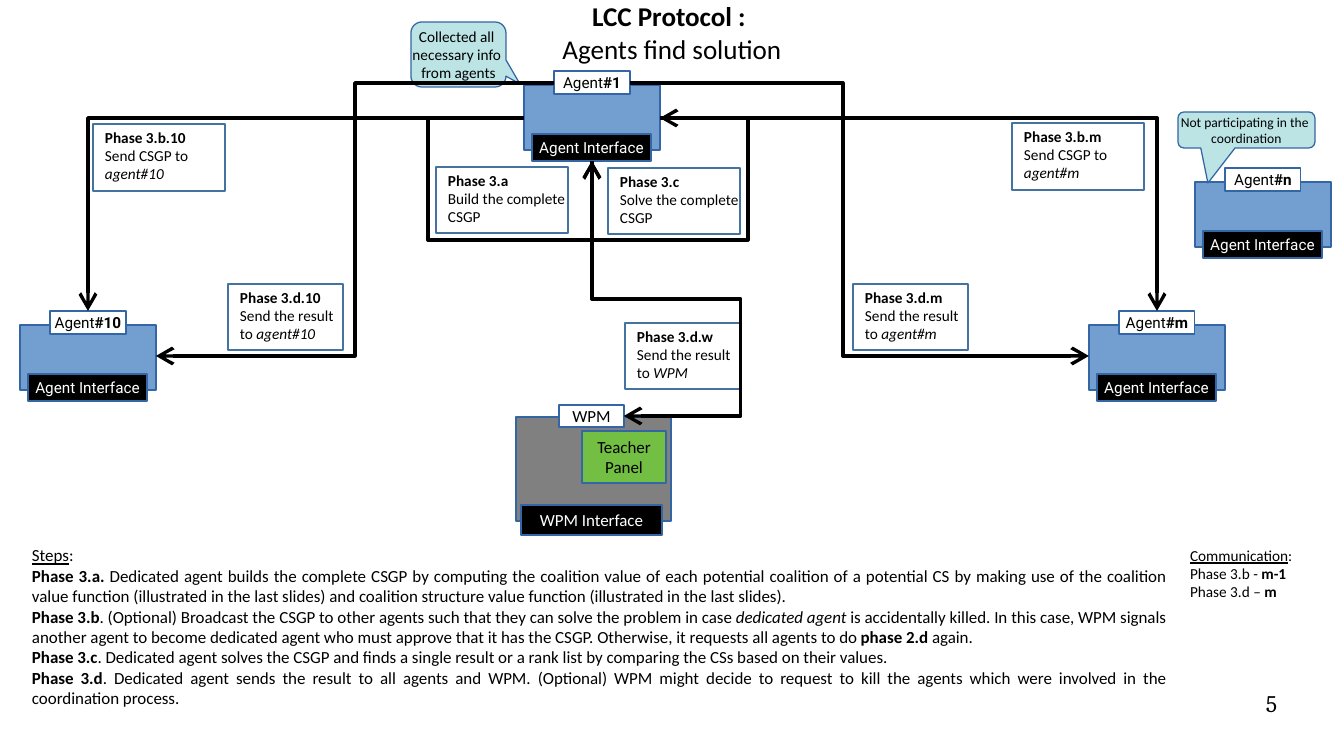
import pptx
import pptx.util
import pptx.dml.color
from lxml import etree
from pptx.enum.shapes import MSO_CONNECTOR, MSO_SHAPE
from pptx.enum.text import MSO_ANCHOR, PP_ALIGN
from pptx.oxml.ns import qn

PX = 914400 / 122
BLACK, WHITE, EDGE = "000000", "FFFFFF", "3465A4"
AGENT_BLUE, CALLOUT, GRAY, GREEN, PHASE_EDGE = "729FCF", "BCE4E5", "808080", "72BF44", "43739E"

# Content: a paragraph is a list of (text, style); styles are b, i, u
TITLE = [("LCC Protocol : \n", "b"), ("Agents find solution", "")]
AGENTS = [("#1", 524, 85), ("#10", 20, 325), ("#m", 1089, 325), ("#n", 1195, 182)]
CALLOUTS = [  # text, size, box, tip
    ("Collected all \nnecessary info \nfrom agents", 9, (411, 22, 95, 65), (520, 84)),
    ("Not participating in the \ncoordination", 8, (1178, 112, 137, 36), (1208, 183)),
]
PHASES = [  # name, action, receiver, box
    ("Phase 3.b.10", "Send CSGP to \n", "agent#10", (93, 124, 132, 67)),
    ("Phase 3.b.m", "Send CSGP to \n", "agent#m", (1012, 123, 132, 67)),
    ("Phase 3.a", "Build the complete \nCSGP", "", (436, 167, 132, 66)),
    ("Phase 3.c", "Solve the complete \nCSGP", "", (608, 168, 132, 66)),
    ("Phase 3.d.10", "Send the result \nto ", "agent#10", (228, 284, 115, 66)),
    ("Phase 3.d.m", "Send the result \nto ", "agent#m", (853, 284, 115, 66)),
    ("Phase 3.d.w", "Send the result \nto ", "WPM", (625, 323, 115, 66)),
]
WPM = [  # text, box, fill, font colour
    ("", (516, 417, 155, 104), GRAY, BLACK),
    ("WPM", (559, 405, 65, 22), WHITE, BLACK),
    ("Teacher\nPanel", (582, 431, 84, 52), GREEN, BLACK),
    ("WPM Interface", (521, 505, 141, 30), BLACK, WHITE),
]
ROUTES = [  # start, end, bends (x, then y), arrow at start, arrow at end
    ((524, 118), (88, 311), (), False, True),
    ((660, 118), (1157, 311), (), False, True),
    ((630, 83), (1089, 356), (843,), False, True),
    ((554, 83), (156, 356), (355,), False, True),
    ((660, 118), (592, 161), (748, 240), True, False),
    ((524, 118), (592, 161), (428, 240), False, True),
    ((624, 416), (592, 161), (741, 299), True, True),
]
STEPS = [
    [("Steps", "u"), (":", "")],
    [("Phase 3.a.", "b"), (" Dedicated agent builds the complete CSGP by computing the coalition value of each "
     "potential coalition of a potential CS by making use of the coalition value function (illustrated in the "
     "last slides) and coalition structure value function (illustrated in the last slides).", "")],
    [("Phase 3.b", "b"), (". (Optional) Broadcast the CSGP to other agents such that they can solve the problem "
     "in case ", ""), ("dedicated agent", "i"), (" is accidentally killed. In this case, WPM signals another "
     "agent to become dedicated agent who must approve that it has the CSGP. Otherwise, it requests all agents "
     "to do ", ""), ("phase 2.d ", "b"), ("again.", "")],
    [("Phase 3.c", "b"), (". Dedicated agent solves the CSGP and finds a single result or a rank list by "
     "comparing the CSs based on their values.", "")],
    [("Phase 3.d", "b"), (". Dedicated agent sends the result to all agents and WPM. (Optional) WPM might decide "
     "to request to kill the agents which were involved in the coordination process.", "")],
]
COMMUNICATION = [
    [("Communication", "u"), (":", "")],
    [("Phase 3.b - ", ""), ("m-1", "b")],
    [("Phase 3.d –", ""), (" m", "b")],
]


def px(value):
    return pptx.util.Emu(round(value * PX))


def color(value):
    return pptx.dml.color.RGBColor.from_string(value)


def write(shape, paragraphs, size, font="Calibri", ink=BLACK, align=PP_ALIGN.LEFT,
          anchor=MSO_ANCHOR.TOP, insets=(12, 6, 12, 6), wrap=True):
    frame = shape.text_frame
    frame.word_wrap = wrap
    frame.vertical_anchor = anchor
    frame.margin_left, frame.margin_top, frame.margin_right, frame.margin_bottom = map(px, insets)
    for index, runs in enumerate(paragraphs):
        paragraph = frame.add_paragraph() if index else frame.paragraphs[0]
        paragraph.alignment = align
        paragraph.font.size = pptx.util.Pt(size)
        paragraph.font.name = font
        paragraph.font.color.rgb = color(ink)
        for text, style in runs:
            for number, line in enumerate(text.split("\n")):
                if number:
                    paragraph.add_line_break()
                if line:
                    run = paragraph.add_run()
                    run.text = line
                    for letter, name in (("b", "bold"), ("i", "italic"), ("u", "underline")):
                        if letter in style:
                            setattr(run.font, name, True)


def add_box(slide, box, fill, edge=EDGE, width=0, kind=MSO_SHAPE.RECTANGLE):
    shape = slide.shapes.add_shape(kind, *map(px, box))
    shape.shadow.inherit = False
    if fill:
        shape.fill.solid()
        shape.fill.fore_color.rgb = color(fill)
    else:
        shape.fill.background()
    shape.line.color.rgb = color(edge)
    shape.line.width = pptx.util.Pt(width)
    return shape


def add_label(slide, box, runs, fill, **style):
    write(add_box(slide, box, fill), [runs], align=PP_ALIGN.CENTER,
          anchor=MSO_ANCHOR.MIDDLE, wrap=False, **style)


def add_text(slide, box, paragraphs, size, **style):
    write(slide.shapes.add_textbox(*map(px, box)), paragraphs, size, **style)


def add_agent(slide, name, x, y):
    add_box(slide, (x, y, 136, 65), AGENT_BLUE)
    add_label(slide, (x + 30, y - 14, 76, 23), [("Agent", ""), (name, "b")], WHITE, size=9, font="Roboto")
    add_label(slide, (x + 8, y + 49, 119, 27), [("Agent Interface", "")], BLACK,
              size=9, font="Roboto", ink=WHITE)


def add_callout(slide, text, size, box, tip):
    shape = add_box(slide, box, CALLOUT, kind=MSO_SHAPE.ROUNDED_RECTANGULAR_CALLOUT)
    x, y, width, height = box
    shape.adjustments[0] = (tip[0] - x - width / 2) / width
    shape.adjustments[1] = (tip[1] - y - height / 2) / height
    write(shape, [[(text, "")]], size, align=PP_ALIGN.CENTER, anchor=MSO_ANCHOR.MIDDLE, wrap=False)


def add_route(slide, start, end, bends, arrow_start, arrow_end):
    connector = slide.shapes.add_connector(MSO_CONNECTOR.ELBOW, *map(px, start + end))
    connector.line.color.rgb = color(BLACK)
    connector.line.width = 0
    properties = connector._element.spPr
    geometry = properties.find(qn("a:prstGeom"))
    geometry.set("prst", f"bentConnector{len(bends) + 2}")
    guides = geometry.get_or_add_avLst()
    for axis, bend in enumerate(bends):
        share = (bend - start[axis]) / (end[axis] - start[axis])
        etree.SubElement(guides, qn("a:gd"), name=f"adj{axis + 1}" if len(bends) > 1 else "adj1",
                         fmla=f"val {round(share * 100000)}")
    line = properties.find(qn("a:ln"))
    for tag, shown in (("a:headEnd", arrow_start), ("a:tailEnd", arrow_end)):
        if shown:
            etree.SubElement(line, qn(tag), type="arrow", w="lg", len="lg")
    etree.SubElement(properties, qn("a:effectLst"))


def main():
    presentation = pptx.Presentation()
    presentation.slide_width, presentation.slide_height = px(1344), px(756)
    slide = presentation.slides.add_slide(presentation.slide_layouts[6])

    # Title and page number
    add_text(slide, (67, 4, 1210, 56), [TITLE], 16, align=PP_ALIGN.CENTER,
             anchor=MSO_ANCHOR.MIDDLE, insets=(0, 0, 0, 0))
    add_text(slide, (964, 689, 313, 52), [[("5", "")]], 14, font="Cambria",
             align=PP_ALIGN.RIGHT, insets=(0, 0, 0, 0))

    # Agents, callouts and WPM
    for agent in AGENTS:
        add_agent(slide, *agent)
    for callout in CALLOUTS:
        add_callout(slide, *callout)
    for text, box, fill, ink in WPM:
        add_label(slide, box, [(text, "")], fill, size=10, ink=ink)

    # Phase boxes and routes
    for name, action, receiver, box in PHASES:
        write(add_box(slide, box, None, PHASE_EDGE, 1),
              [[(name + "\n", "b"), (action, ""), (receiver, "i")]], 9, insets=(12, 4, -8, 0))
    for route in ROUTES:
        add_route(slide, *route)

    # Explanations
    add_text(slide, (20, 539, 1158, 181), STEPS, 10, align=PP_ALIGN.JUSTIFY)
    add_text(slide, (1178, 540, 140, 68), COMMUNICATION, 9)

    presentation.save("out.pptx")


if __name__ == "__main__":
    main()
